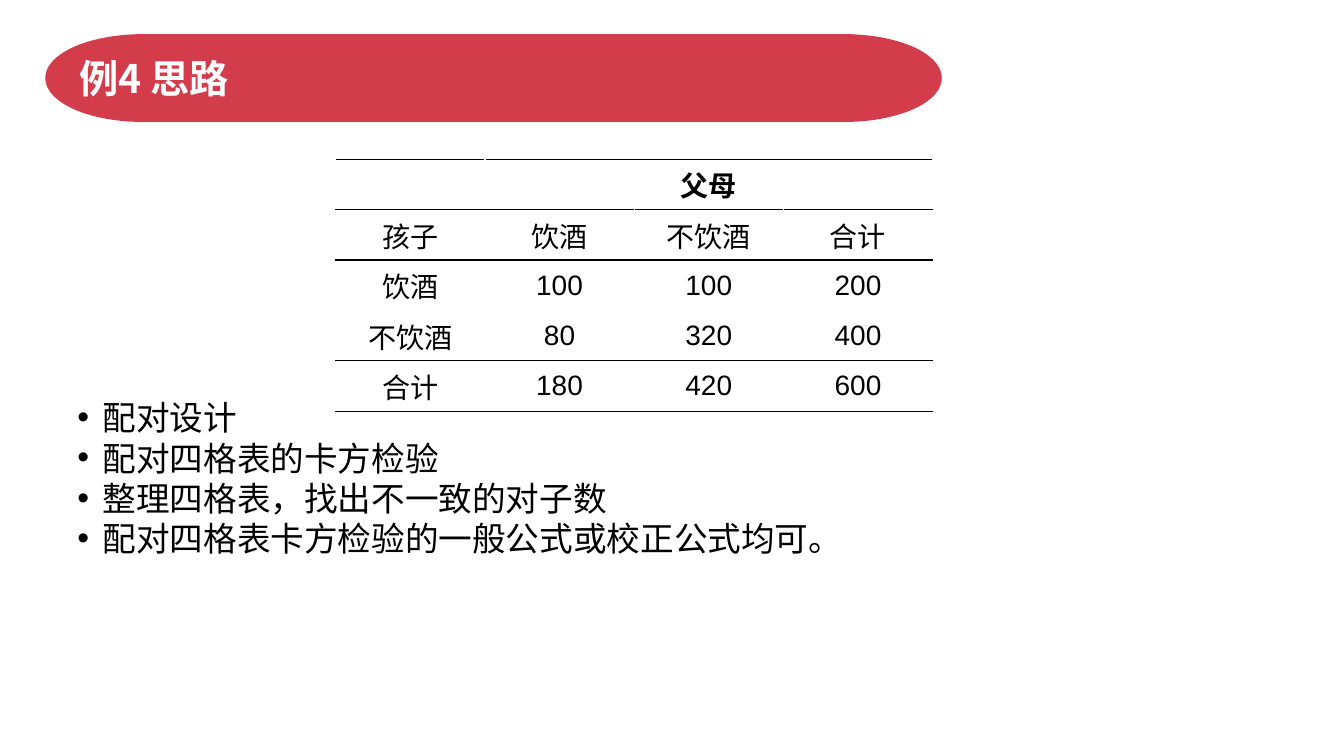
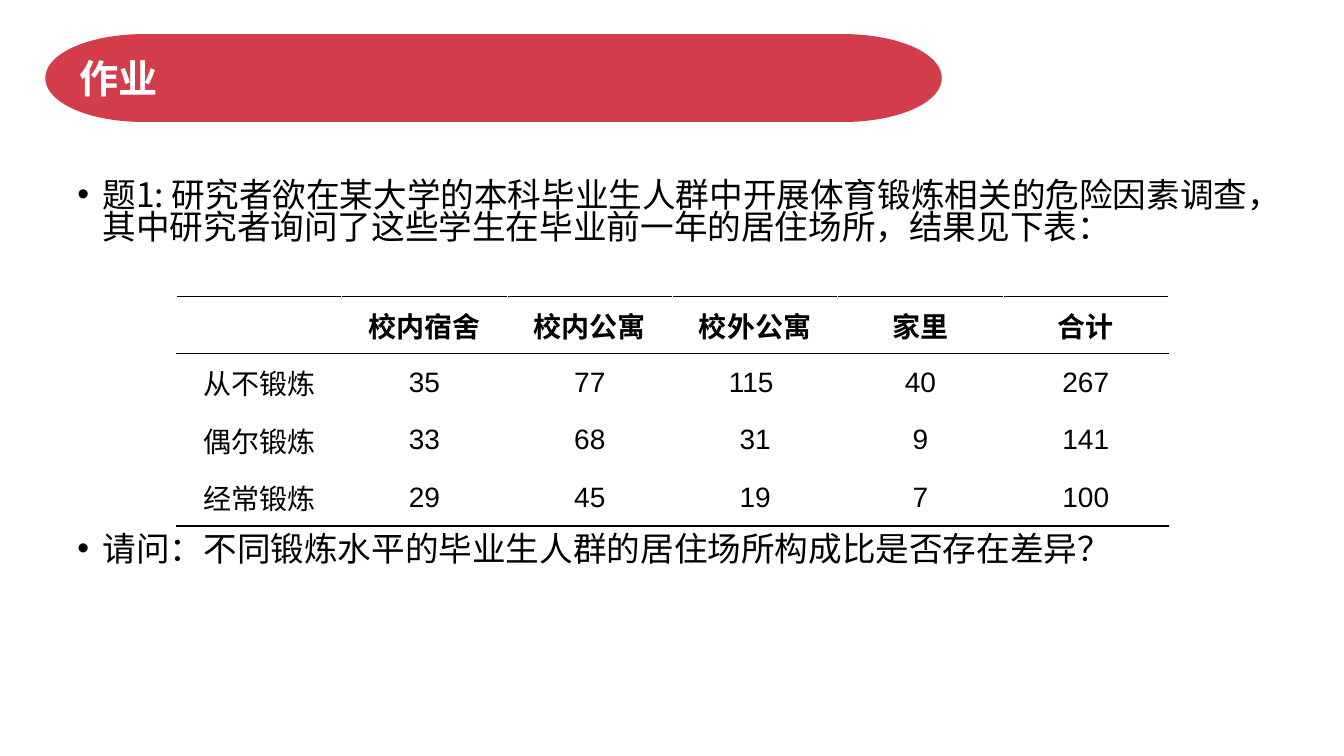
import math

from lxml import etree
from pptx import Presentation
from pptx.dml.color import RGBColor
from pptx.enum import text as t
from pptx.oxml import ns
from pptx.util import Inches, Pt

COLORS = {"band": "D23C4B", "ink": "000000", "paper": "FFFFFF"}
CJK = "Noto Sans CJK SC"
LATIN = "Arial"

# rules: numbers of the row edges drawn in black, counted from the top
# body: (text, space before in points)
SLIDES = [
    {
        "title": "例4 思路",
        "top": 3.97,
        "body": [
            ("配对设计", 5.6),
            ("配对四格表的卡方检验", 5.6),
            ("整理四格表，找出不一致的对子数", 5.6),
            ("配对四格表卡方检验的一般公式或校正公式均可。", 5.6),
        ],
        "table": {
            "at": (3.33, 1.58), "cell": (1.48, 0.5), "fill": None,
            "rules": {0, 1, 2, 4, 5}, "merge": [(0, 1, 0, 3)],
            "rows": [
                ["", "父母", "", ""],
                ["孩子", "饮酒", "不饮酒", "合计"],
                ["饮酒", "100", "100", "200"],
                ["不饮酒", "80", "320", "400"],
                ["合计", "180", "420", "600"],
            ],
        },
    },
    {
        "title": "作业",
        "top": 1.75,
        "body": [
            ("题1: 研究者欲在某大学的本科毕业生人群中开展体育锻炼相关的危险因素调查，"
             "其中研究者询问了这些学生在毕业前一年的居住场所，结果见下表：", 5.6),
            ("请问：不同锻炼水平的毕业生人群的居住场所构成比是否存在差异？", 207),
        ],
        "table": {
            "at": (1.75, 2.94), "cell": (1.64, 0.57), "fill": "paper",
            "rules": {0, 1, 4}, "merge": [],
            "rows": [
                ["", "校内宿舍", "校内公寓", "校外公寓", "家里", "合计"],
                ["从不锻炼", "35", "77", "115 ", "40", "267"],
                ["偶尔锻炼", "33", "68", "31", "9", "141"],
                ["经常锻炼", "29", "45", "19", "7", "100"],
            ],
        },
    },
]


def rgb(name):
    return RGBColor.from_string(COLORS[name])


def child(node, tag, **attrs):
    return etree.SubElement(node, ns.qn(tag), attrs)


def write(para, words, size=24, color="ink", bold=False, font=CJK,
          align=None, bullet=False, before=0, line=None):
    """Put one formatted run into a paragraph."""
    para.alignment = align
    para.space_before = Pt(before)
    para.line_spacing = line
    if bullet:
        props = para._p.get_or_add_pPr()
        props.set("marL", str(Inches(0.25)))
        props.set("indent", str(-Inches(0.25)))
        child(props, "a:buFont", typeface=LATIN)
        child(props, "a:buChar", char="•")
    run = para.add_run()
    run.text = words
    run.font.size = Pt(size)
    run.font.bold = bold
    run.font.color.rgb = rgb(color)
    run.font.name = font
    child(run._r.get_or_add_rPr(), "a:ea", typeface=CJK)


def add_box(slide, left, top, width, height, anchor):
    box = slide.shapes.add_textbox(
        Inches(left), Inches(top), Inches(width), Inches(height))
    frame = box.text_frame
    frame.word_wrap = True
    frame.vertical_anchor = anchor
    return frame


def add_band(slide, left=0.47, top=0.36, width=8.85, height=0.83, cap=0.95):
    """Draw the title band: a bar with a half ellipse at each end."""
    steps = 40
    mid = top + height / 2
    points = []
    for center, start in ((left + width - cap, -90), (left + cap, 90)):
        for i in range(steps + 1):
            angle = math.radians(start + 180 * i / steps)
            points.append((Inches(center + cap * math.cos(angle)),
                           Inches(mid + height / 2 * math.sin(angle))))
    pen = slide.shapes.build_freeform(*points[0])
    pen.add_line_segments(points[1:], close=True)
    band = pen.convert_to_shape()
    band.shadow.inherit = False
    band.fill.solid()
    band.fill.fore_color.rgb = rgb("band")
    band.line.color.rgb = rgb("band")
    band.line.width = Pt(3)


def set_edges(cell, **edges):
    props = cell._tc.get_or_add_tcPr()
    for side, color in edges.items():
        edge = child(props, f"a:ln{side}", w=str(Pt(1)))
        child(child(edge, "a:solidFill"), "a:srgbClr", val=COLORS[color])


def add_grid(slide, at, cell, fill, rules, merge, rows):
    wide, high = cell
    count = len(rows[0])
    grid = slide.shapes.add_table(
        len(rows), count, Inches(at[0]), Inches(at[1]),
        Inches(wide * count), Inches(high * len(rows))).table
    grid.first_row = grid.horz_banding = False
    for r, row in enumerate(rows):
        above, below = ("ink" if n in rules else "paper" for n in (r, r + 1))
        for c, words in enumerate(row):
            spot = grid.cell(r, c)
            spot.vertical_anchor = t.MSO_ANCHOR.MIDDLE
            set_edges(spot, L="paper", R="paper", T=above, B=below)
            if fill:
                spot.fill.solid()
                spot.fill.fore_color.rgb = rgb(fill)
            else:
                spot.fill.background()
            if words:
                write(spot.text_frame.paragraphs[0], words, size=20,
                      bold=r == 0, font=LATIN, align=t.PP_ALIGN.CENTER)
    for r, c, last_r, last_c in merge:
        grid.cell(r, c).merge(grid.cell(last_r, last_c))


def add_body(slide, top, items):
    frame = add_box(slide, 0.67, top, 12, 6.7 - top, t.MSO_ANCHOR.TOP)
    for i, (words, gap) in enumerate(items):
        para = frame.add_paragraph() if i else frame.paragraphs[0]
        write(para, words, bullet=True, before=gap, line=0.8)


def main():
    deck = Presentation()
    deck.slide_width, deck.slide_height = Inches(13.33), Inches(7.5)
    for data in SLIDES:
        slide = deck.slides.add_slide(deck.slide_layouts[6])
        add_band(slide)
        add_body(slide, data["top"], data["body"])
        title = add_box(slide, 0.69, 0.37, 8.38, 0.81, t.MSO_ANCHOR.MIDDLE)
        write(title.paragraphs[0], data["title"], size=28,
              color="paper", bold=True)
        add_grid(slide, **data["table"])
    deck.save("out.pptx")


if __name__ == "__main__":
    main()
